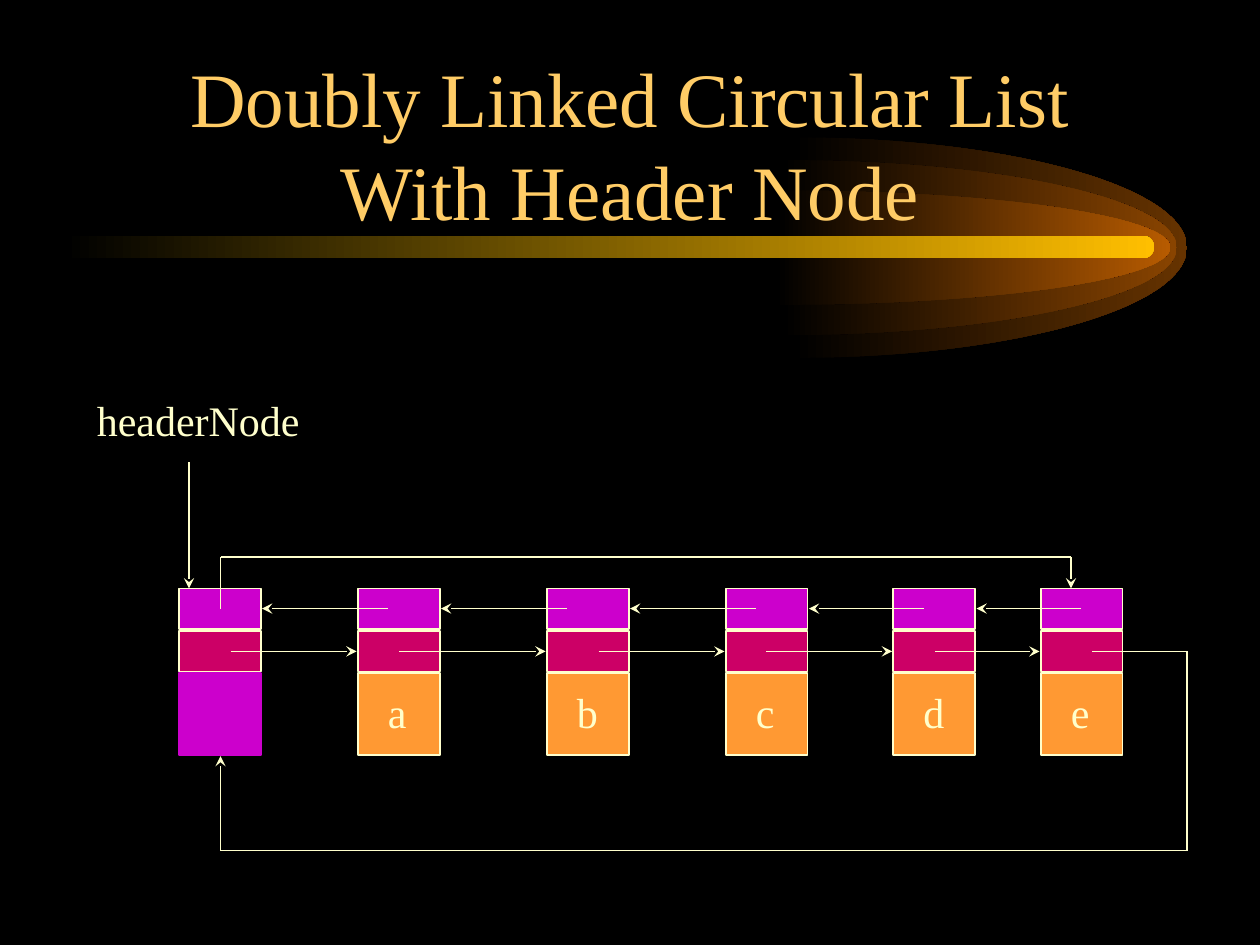
from lxml import etree
from pptx import Presentation
from pptx.dml.color import RGBColor
from pptx.enum import shapes, text
from pptx.oxml import ns
from pptx.util import Inches, Pt

BLACK = RGBColor(0x00, 0x00, 0x00)
GOLD = RGBColor(0xFF, 0xCC, 0x66)
CREAM = RGBColor(0xFF, 0xFF, 0xCC)
PURPLE = RGBColor(0xCC, 0x00, 0xCC)
RED = RGBColor(0xCC, 0x00, 0x66)
ORANGE = RGBColor(0xFF, 0x99, 0x33)
AMBER = RGBColor(0xFF, 0xBF, 0x00)
BROWNS = [RGBColor(0x66, 0x33, 0x00), RGBColor(0x89, 0x44, 0x00),
          RGBColor(0xB7, 0x5B, 0x00)]
FONT = "Times New Roman"
THIN = Pt(0.99)

deck = Presentation()
deck.slide_width, deck.slide_height = Inches(10), Inches(7.5)
slide = deck.slides.add_slide(deck.slide_layouts[5])
slide.background.fill.solid()
slide.background.fill.fore_color.rgb = BLACK
parts = slide.shapes

# Comet: three half ellipses and a bar, all fading in from black
glow = []
wide = 3.13
for left, top, high, brown in zip([6.29, 6.21, 6.16], [1.09, 1.27, 1.51],
                                  [1.75, 1.39, 0.91], BROWNS):
    half = high / 2
    pen = parts.build_freeform(Inches(left), Inches(top))
    pen.add_line_segments([(Inches(left + wide), Inches(top + half)),
                           (Inches(left), Inches(top + high))])
    ray = pen.convert_to_shape()
    # Bend both sides into quarter ellipses
    curves = [[(0.55 * wide, 0), (wide, 0.45 * half), (wide, half)],
              [(wide, 1.55 * half), (0.55 * wide, high), (0, high)]]
    for side, curve in zip(list(ray._element.iter(ns.qn("a:lnTo"))), curves):
        bend = etree.Element(ns.qn("a:cubicBezTo"))
        for x, y in curve:
            etree.SubElement(bend, ns.qn("a:pt"), x=str(Inches(x)), y=str(Inches(y)))
        side.getparent().replace(side, bend)
    glow.append((ray, brown))
bar = parts.add_shape(shapes.MSO_SHAPE.ROUNDED_RECTANGLE,
                      Inches(0.5), Inches(1.87), Inches(8.66), Inches(0.18))
bar.adjustments[0] = 0.5
glow.append((bar, AMBER))
for ray, tint in glow:
    ray.shadow.inherit = False
    ray.line.fill.background()
    ray.fill.gradient()
    ray.fill.gradient_angle = 0
    for stop, color, place in zip(ray.fill.gradient_stops, [BLACK, tint], [0, 1]):
        stop.color.rgb = color
        stop.position = place


def write(box, words, size, color):
    run = box.text_frame.paragraphs[0].add_run()
    run.text = words
    run.font.name, run.font.size = FONT, Pt(size)
    run.font.color.rgb = color


def route(*stops, tip=True):
    """Join the stops by lines, with an arrowhead at the last one."""
    for start, end in zip(stops, stops[1:]):
        link = parts.add_connector(shapes.MSO_CONNECTOR.STRAIGHT,
                                   *[Inches(n) for n in start + end])
        link.line.color.rgb = CREAM
        link.line.width = THIN
        if tip and end == stops[-1]:
            line = link.line._get_or_add_ln()
            etree.SubElement(line, ns.qn("a:tailEnd"), type="stealth")
        etree.SubElement(link._element.spPr, ns.qn("a:effectLst"))


# Title, in front of the comet
title = parts.title
parts._spTree.append(title._element)
title.left, title.top = Inches(0.75), Inches(0.67)
title.width, title.height = Inches(8.5), Inches(1.25)
title.text_frame.auto_size = text.MSO_AUTO_SIZE.NONE
title.text_frame.vertical_anchor = text.MSO_ANCHOR.BOTTOM
title.text_frame.paragraphs[0].alignment = text.PP_ALIGN.CENTER
write(title, "Doubly Linked Circular List With Header Node", 44, GOLD)

# Nodes, each with its next links and previous links;
# d comes last, to cover the start of the link towards c
nodes = [
    (1.42, "", [(1.83, 2.83)], []),
    (2.84, "a", [(3.17, 4.33)], [(3.08, 2.08)]),
    (4.34, "b", [(4.75, 5.75)], [(4.5, 3.5)]),
    (5.76, "c", [(6.08, 7.08)], [(6, 5), (7.42, 6.42)]),
    (8.26, "e", [], [(8.58, 7.75)]),
    (7.09, "d", [(7.42, 8.25)], []),
]
for left, name, nexts, prevs in nodes:
    data, rim = (ORANGE, CREAM) if name else (PURPLE, PURPLE)
    rows = [(5.34, 0.65, data, rim), (5.01, 0.32, RED, CREAM),
            (4.67, 0.32, PURPLE, CREAM)]
    for top, high, fill, edge in rows:
        cell = parts.add_shape(shapes.MSO_SHAPE.RECTANGLE, Inches(left),
                               Inches(top), Inches(0.65), Inches(high))
        cell.shadow.inherit = False
        cell.fill.solid()
        cell.fill.fore_color.rgb = fill
        cell.line.color.rgb = edge
        cell.line.width = THIN
    if name:
        label = parts.add_textbox(Inches(left + 0.14), Inches(5.4),
                                  Inches(0.37 if name in "bd" else 0.35), Inches(0.5))
        label.text_frame.word_wrap = False
        write(label, name, 24, CREAM)
    for y, links in [(5.17, nexts), (4.83, prevs)]:
        for start, end in links:
            route((start, y), (end, y))
route((7.33, 4.83), (7.08, 4.83), tip=False)

# Name of the list and its pointer
head = parts.add_textbox(Inches(0.67), Inches(3.08), Inches(1.83), Inches(0.5))
head.text_frame.word_wrap = True
head.text_frame.paragraphs[0].space_before = Pt(15)
write(head, "headerNode", 24, CREAM)
route((1.5, 3.67), (1.5, 4.67))

# The two links that close the circle
route((8.67, 5.17), (9.42, 5.17), (9.42, 6.75), (1.75, 6.75), (1.75, 6))
route((1.75, 4.83), (1.75, 4.42), (8.5, 4.42), (8.5, 4.67))

deck.save("out.pptx")
